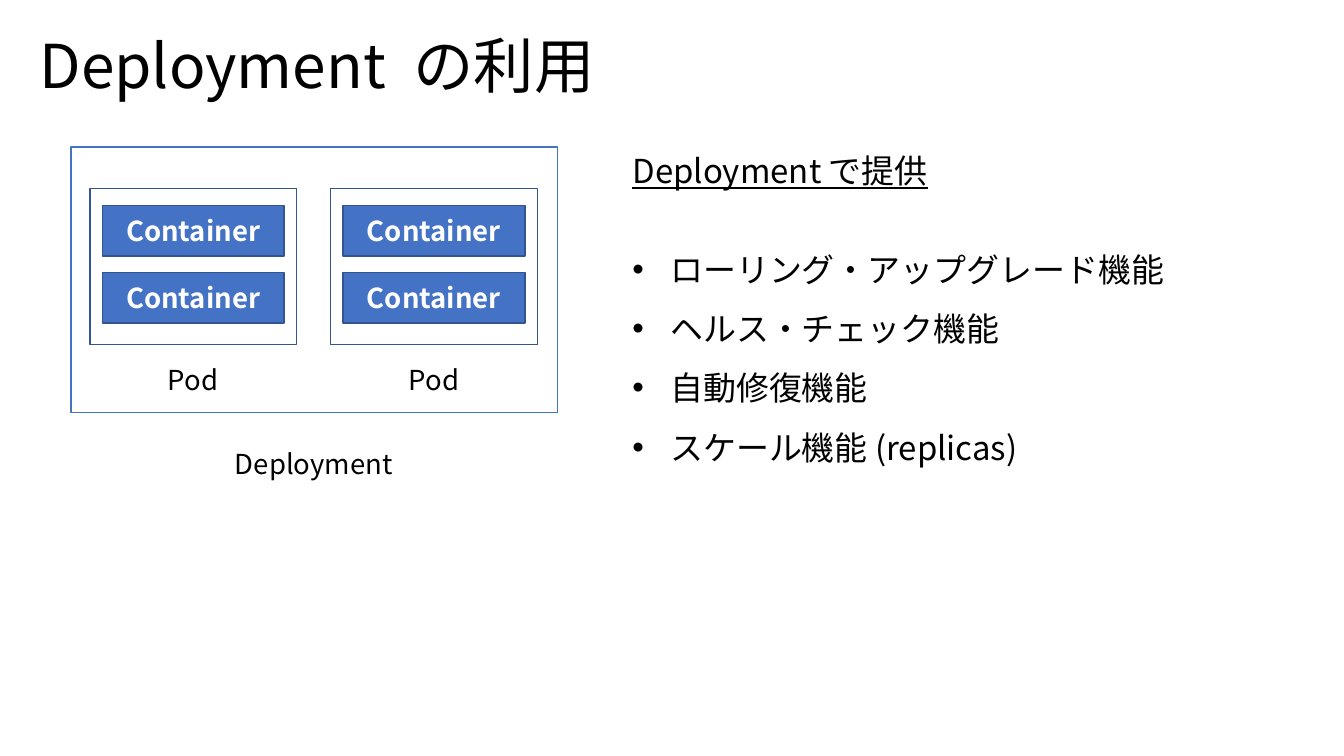
from lxml import etree
from pptx import Presentation
from pptx.dml.color import RGBColor
from pptx.enum import shapes, text
from pptx.oxml import ns
from pptx.util import Cm, Pt

FONT = "Noto Sans CJK JP"
COLORS = {"black": "000000", "white": "FFFFFF", "blue": "4472C4", "navy": "325491"}
FEATURES = ["ローリング・アップグレード機能", "ヘルス・チェック機能", "自動修復機能", "スケール機能 (replicas)"]


def format_text(p, size, color="black", align=text.PP_ALIGN.LEFT, spacing=1.0):
    p.alignment, p.line_spacing = align, spacing
    p.space_before = Pt(0)
    for r in p.runs:
        r.font.size, r.font.name = Pt(size), FONT
        r.font.color.rgb = RGBColor.from_string(COLORS[color])
        ea = etree.SubElement(r._r.get_or_add_rPr(), ns.qn("a:ea"))
        ea.set("typeface", FONT)


def add_box(x, y, w, h, line, fill=None):
    sp = s.shapes.add_shape(shapes.MSO_SHAPE.RECTANGLE, Cm(x), Cm(y), Cm(w), Cm(h))
    sp.shadow.inherit = False
    sp.line.color.rgb = RGBColor.from_string(COLORS[line])
    sp.line.width = Pt(1)
    if fill:
        sp.fill.solid()
        sp.fill.fore_color.rgb = RGBColor.from_string(COLORS[fill])
    else:
        sp.fill.background()
    return sp


prs = Presentation()
prs.slide_width, prs.slide_height = Cm(34.54), Cm(19.43)
s = prs.slides.add_slide(prs.slide_layouts[1])
title, body = s.shapes.title, s.placeholders[1]

# Title
title.left, title.top, title.width, title.height = Cm(0.76), Cm(0.81), Cm(33.02), Cm(2.54)
tf = title.text_frame
tf.text = "Deployment  の利用"
tf.vertical_anchor = text.MSO_ANCHOR.TOP
tf.auto_size = text.MSO_AUTO_SIZE.NONE
format_text(tf.paragraphs[0], 44, spacing=0.9)

# Deployment with two pods of two containers each
POD_W = 5.31
add_box(1.83, 3.78, 12.5, 6.83, "blue")
pod_lefts = [2.31 + 6.19 * i for i in range(2)]
for x in pod_lefts:
    add_box(x, 4.85, POD_W, 4.01, "navy")
    for row in range(2):
        sp = add_box(x + 0.32, 5.28 + 1.72 * row, 4.67, 1.3, "navy", "blue")
        tf = sp.text_frame
        tf.text = "Container"
        tf.vertical_anchor = text.MSO_ANCHOR.MIDDLE
        format_text(tf.paragraphs[0], 20, "white", text.PP_ALIGN.CENTER)
        tf.paragraphs[0].runs[0].font.bold = True

# Captions
captions = [("Pod", x, 9.04) for x in pod_lefts] + [("Deployment", 5.41, 11.2)]
for caption, x, y in captions:
    tf = s.shapes.add_textbox(Cm(x), Cm(y), Cm(POD_W), Cm(1.6)).text_frame
    tf.word_wrap = True
    tf.margin_left = tf.margin_right = Cm(0.51)
    tf.margin_top = tf.margin_bottom = Cm(0.41)
    tf.text = caption
    format_text(tf.paragraphs[0], 20, align=text.PP_ALIGN.CENTER, spacing=0.9)

# Feature list
body.left, body.top, body.width, body.height = Cm(16), Cm(3.73), Cm(18.16), Cm(8.28)
tf = body.text_frame
tf.auto_size = text.MSO_AUTO_SIZE.NONE
tf.text = "\n".join(["Deployment で提供"] + FEATURES)
for i, p in enumerate(tf.paragraphs):
    indent = Cm(0.97) if i else Cm(0)
    pPr = p._p.get_or_add_pPr()
    pPr.set("marL", str(indent))
    pPr.set("indent", str(-indent))
    if i:
        etree.SubElement(pPr, ns.qn("a:buFont")).set("typeface", "Arial")
        etree.SubElement(pPr, ns.qn("a:buChar")).set("char", "•")
    else:
        etree.SubElement(pPr, ns.qn("a:buNone"))
    format_text(p, 24, spacing=1.5 if i else 1.0)
tf.paragraphs[0].runs[0].font.underline = True
tf.paragraphs[1].space_before = Pt(29)

prs.save("out.pptx")
